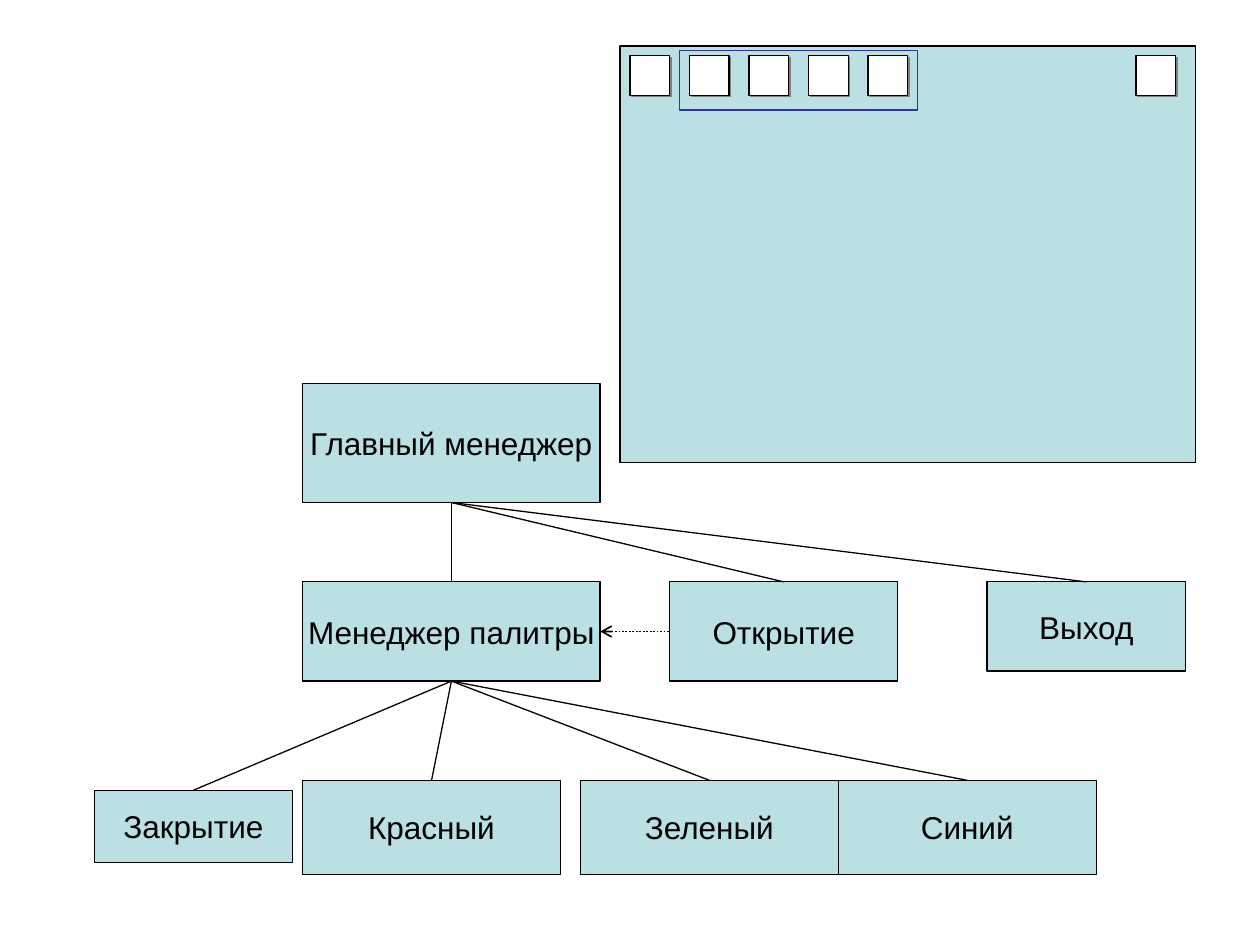
from pptx import Presentation
from pptx.dml.color import RGBColor
from pptx.enum.dml import MSO_LINE_DASH_STYLE as Dash
from pptx.enum.shapes import MSO_CONNECTOR_TYPE as ConnectorType
from pptx.enum.shapes import MSO_SHAPE as ShapeType
from pptx.enum.text import MSO_ANCHOR as Anchor
from pptx.enum.text import PP_ALIGN as Align
from pptx.oxml import parse_xml
from pptx.oxml.ns import nsdecls, qn
from pptx.util import Cm, Pt

BLACK = RGBColor(0x00, 0x00, 0x00)
WHITE = RGBColor(0xFF, 0xFF, 0xFF)
PALE_TEAL = RGBColor(0xBB, 0xE0, 0xE3)
INDIGO = RGBColor(0x33, 0x33, 0x99)
SHADOW_GREY = RGBColor(0x80, 0x80, 0x80)

TOP, LEFT, BOTTOM, RIGHT = range(4)  # connection sites of a rectangle


class DiagramSlide:
    font_name = "Arial"
    font_size = Pt(18)
    line_width = Pt(0.75)

    def __init__(self, presentation):
        self.slide = presentation.slides.add_slide(presentation.slide_layouts[6])

    def rectangle(self, left, top, width, height, fill=PALE_TEAL, line=BLACK):
        """Add a plain rectangle, measured in cm; fill=None leaves it hollow."""
        shape = self.slide.shapes.add_shape(
            ShapeType.RECTANGLE, Cm(left), Cm(top), Cm(width), Cm(height))
        shape.shadow.inherit = False
        if fill is None:
            shape.fill.background()
        else:
            shape.fill.solid()
            shape.fill.fore_color.rgb = fill
        shape.line.color.rgb = line
        shape.line.width = self.line_width
        return shape

    def box(self, text, left, top, width, height):
        """Add a rectangle with a centred label."""
        shape = self.rectangle(left, top, width, height)
        text_frame = shape.text_frame
        text_frame.text = text
        text_frame.word_wrap = False
        text_frame.vertical_anchor = Anchor.MIDDLE
        paragraph = text_frame.paragraphs[0]
        paragraph.alignment = Align.CENTER
        font = paragraph.runs[0].font
        font.name, font.size = self.font_name, self.font_size
        font.color.rgb = BLACK
        return shape

    def button(self, left, top, size):
        """Add a white square with a hard drop shadow."""
        shape = self.rectangle(left, top, size, size, WHITE)
        effects = shape._element.spPr.find(qn("a:effectLst"))
        effects.append(parse_xml(
            f'<a:outerShdw {nsdecls("a")} dist="{Pt(1.4)}" dir="2700000" algn="ctr" '
            f'rotWithShape="0"><a:srgbClr val="{SHADOW_GREY}"/></a:outerShdw>'))

    def connector(self, start, start_site, end, end_site):
        connector = self.slide.shapes.add_connector(ConnectorType.STRAIGHT, 0, 0, 0, 0)
        connector.begin_connect(start, start_site)
        connector.end_connect(end, end_site)
        connector.line.color.rgb = BLACK
        connector.line.width = self.line_width
        connector._element.spPr.append(parse_xml(f'<a:effectLst {nsdecls("a")}/>'))
        return connector

    def branches(self, parent, children):
        for child in children:
            self.connector(parent, BOTTOM, child, TOP)

    def dotted_arrow(self, target, source):
        """Join two boxes side by side, with the arrowhead at the left one."""
        connector = self.connector(target, RIGHT, source, LEFT)
        connector.line.width = Pt(1)
        connector.line.dash_style = Dash.ROUND_DOT
        connector.line._get_or_add_ln().append(
            parse_xml(f'<a:headEnd {nsdecls("a")} type="arrow"/>'))


def main():
    presentation = Presentation()
    presentation.slide_width, presentation.slide_height = Cm(25.4), Cm(19.05)
    diagram = DiagramSlide(presentation)

    main_manager = diagram.box("Главный менеджер", 6.1, 7.73, 6, 2.4)

    manager_top = 11.73
    palette_manager = diagram.box("Менеджер палитры", 6.1, manager_top, 6, 2)
    opening = diagram.box("Открытие", 13.5, manager_top, 4.6, 2)
    leaving = diagram.box("Выход", 19.9, manager_top, 4, 1.8)

    closing = diagram.box("Закрытие", 1.9, 15.93, 4, 1.46)
    colours = [diagram.box(name, left, 15.73, 5.2, 1.9)
               for name, left in (("Красный", 6.1), ("Зеленый", 11.7), ("Синий", 16.9))]

    diagram.branches(main_manager, [palette_manager, opening, leaving])
    diagram.branches(palette_manager, [closing, *colours])
    diagram.dotted_arrow(palette_manager, opening)

    window_left, window_top = 12.5, 0.93
    diagram.rectangle(window_left, window_top, 11.6, 8.4)
    button_step = 1.2
    button_lefts = [window_left + 0.2 + button_step * i for i in range(5)]
    for left in [*button_lefts, 22.9]:
        diagram.button(left, window_top + 0.19, 0.8)
    diagram.rectangle(button_lefts[1] - 0.2, window_top + 0.09,
                      4 * button_step, 1.2, fill=None, line=INDIGO)

    presentation.save("out.pptx")


if __name__ == "__main__":
    main()
